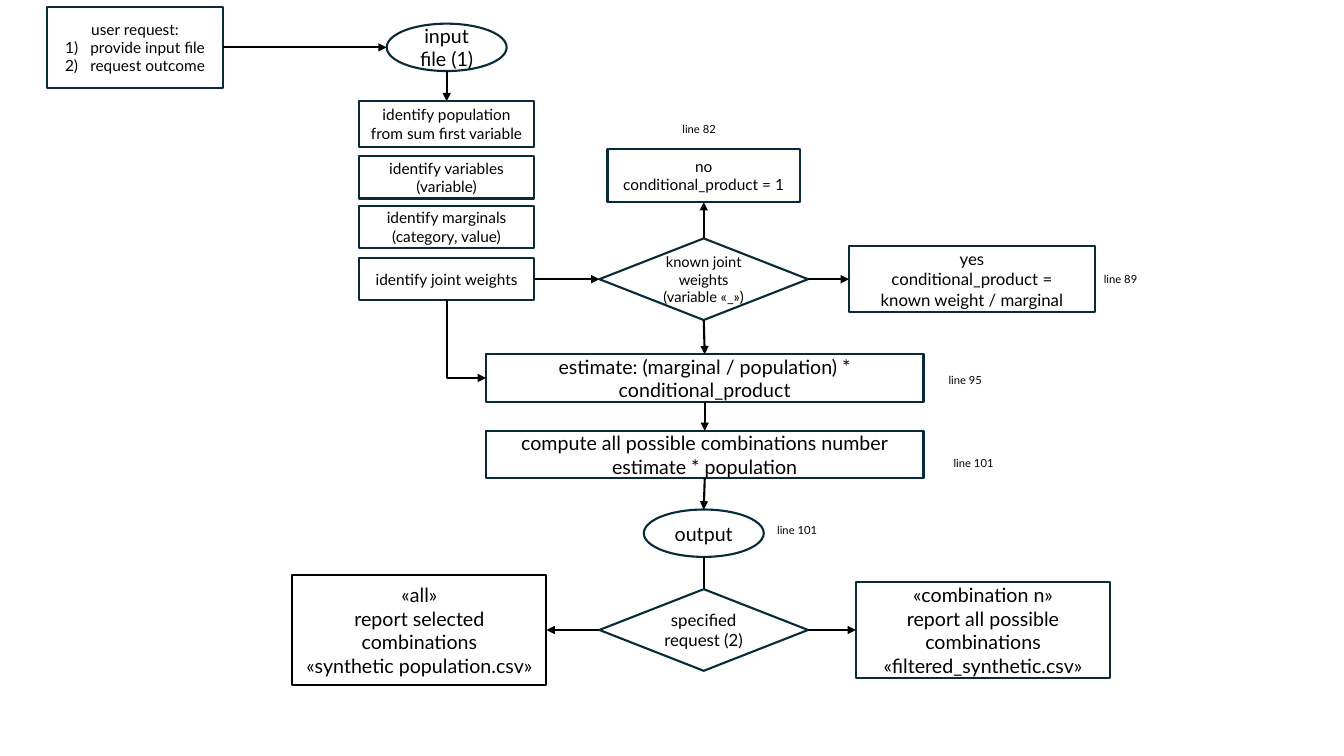
from dataclasses import dataclass

from lxml.etree import SubElement
from pptx import Presentation
from pptx.dml.color import RGBColor
from pptx.enum.shapes import MSO_CONNECTOR, MSO_SHAPE
from pptx.enum.text import MSO_ANCHOR, MSO_AUTO_SIZE, PP_ALIGN
from pptx.oxml.ns import qn
from pptx.util import Inches, Pt


@dataclass(frozen=True)
class Theme:
    font: str = "Lato"
    ink: RGBColor = RGBColor(0, 0, 0)
    outline: RGBColor = RGBColor(0x09, 0x2A, 0x39)
    large: float = 14
    medium: float = 12
    small: float = 11
    compact: float = 10.5
    note: float = 8
    stroke: float = 1.5


@dataclass(frozen=True)
class Region:
    """Top left corner, in inches, from which a region's parts are measured."""
    left: float
    top: float


THEME = Theme()
TOP, LEFT, BOTTOM, RIGHT = range(4)
STEP_WIDTH = 1.74
OVAL = {"kind": MSO_SHAPE.OVAL, "extent": (1.19, 0.47)}
DECISION = {"kind": MSO_SHAPE.DIAMOND, "extent": (2.07, 0.81)}
BAR = (4.34, 0.47)


def write(frame, text, size=THEME.large, align=PP_ALIGN.CENTER, numbered_from=None):
    """Fill a frame line by line, numbering lines from the given index on."""
    frame.word_wrap = True
    for index, line in enumerate(text.split("\n")):
        paragraph = frame.add_paragraph() if index else frame.paragraphs[0]
        paragraph.alignment = align
        run = paragraph.add_run()
        run.text = line
        run.font.name, run.font.size = THEME.font, Pt(size)
        run.font.color.rgb = THEME.ink
        if numbered_from is not None and index >= numbered_from:
            properties = paragraph._p.get_or_add_pPr()
            properties.set("marL", str(Inches(0.25)))
            properties.set("indent", str(-Inches(0.25)))
            SubElement(properties, qn("a:buAutoNum"), type="arabicParenR")


def add_node(slide, region, center, extent, text, kind=MSO_SHAPE.RECTANGLE,
             outline=THEME.outline, **text_format):
    """Draw a flowchart node around a centre measured from its region."""
    width, height = extent
    node = slide.shapes.add_shape(
        kind,
        Inches(region.left + center[0] - width / 2),
        Inches(region.top + center[1] - height / 2),
        Inches(width), Inches(height))
    node.shadow.inherit = False
    node.fill.background()
    node.line.color.rgb = outline
    node.line.width = Pt(THEME.stroke)
    node.text_frame.vertical_anchor = MSO_ANCHOR.MIDDLE
    write(node.text_frame, text, **text_format)
    return node


def add_line_note(slide, region, offset, text):
    note = slide.shapes.add_textbox(
        Inches(region.left + offset[0]), Inches(region.top + offset[1]),
        Inches(0.64), Inches(0.24))
    write(note.text_frame, text, size=THEME.note, align=PP_ALIGN.LEFT)
    note.text_frame.auto_size = MSO_AUTO_SIZE.SHAPE_TO_FIT_TEXT


def link(slide, source, source_side, target, target_side,
         kind=MSO_CONNECTOR.STRAIGHT, arrow=True):
    connector = slide.shapes.add_connector(kind, 0, 0, 0, 0)
    connector.begin_connect(source, source_side)
    connector.end_connect(target, target_side)
    # An oval has eight connection sites, so its side numbers are doubled.
    for node, side, tag in ((source, source_side, "a:stCxn"),
                            (target, target_side, "a:endCxn")):
        if node.auto_shape_type == MSO_SHAPE.OVAL:
            next(connector._element.iter(qn(tag))).set("idx", str(side * 2))
    connector.line.color.rgb = THEME.ink
    connector.line.width = Pt(THEME.stroke)
    if arrow:
        SubElement(connector.line._get_or_add_ln(), qn("a:tailEnd"), type="triangle")
    SubElement(connector._element.spPr, qn("a:effectLst"))
    return connector


def link_down_then_right(slide, source, target):
    """Join a bottom side to a left side with a single bend."""
    elbow = link(slide, source, BOTTOM, target, LEFT, kind=MSO_CONNECTOR.ELBOW)
    across, down = elbow.width, elbow.height
    middle_x, middle_y = elbow.left + across // 2, elbow.top + down // 2
    elbow.left, elbow.top = middle_x - down // 2, middle_y - across // 2
    elbow.width, elbow.height = down, across
    properties = elbow._element.spPr
    frame = properties.find(qn("a:xfrm"))
    frame.set("rot", str(270 * 60000))
    frame.set("flipH", "1")
    properties.find(qn("a:prstGeom")).set("prst", "bentConnector2")


def draw_intake(slide, region):
    """Draw the request, input file and identification steps; return the last."""
    request = add_node(slide, region, (0.87, 0.4), (STEP_WIDTH, 0.8),
                       "user request:\nprovide input file\nrequest outcome",
                       size=THEME.small, numbered_from=1)
    input_file = add_node(slide, region, (3.96, 0.4), text="input file (1)", **OVAL)
    steps = [
        add_node(slide, region, (3.96, middle), (STEP_WIDTH, height), text,
                 size=THEME.small)
        for middle, height, text in (
            (1.16, 0.45, "identify population from sum first variable"),
            (1.69, 0.42, "identify variables\n(variable)"),
            (2.18, 0.42, "identify marginals (category, value)"),
            (2.7, 0.42, "identify joint weights"))
    ]
    link(slide, request, RIGHT, input_file, LEFT)
    link(slide, input_file, BOTTOM, steps[0], TOP)
    return steps[-1]


def draw_joint_weights(slide, region):
    """Draw the known weights decision with both answers; return the decision."""
    known = add_node(slide, region, (1.04, 1.61),
                     text="known joint weights\n(variable «_»)",
                     size=THEME.compact, **DECISION)
    unknown_case = add_node(slide, region, (1.04, 0.58), (1.91, 0.53),
                            "no\nconditional_product = 1", size=THEME.small)
    known_case = add_node(slide, region, (3.7, 1.61), (2.44, 0.66),
                          "yes\nconditional_product =\nknown weight / marginal",
                          size=THEME.medium)
    link(slide, known, TOP, unknown_case, BOTTOM)
    link(slide, known, RIGHT, known_case, LEFT)
    add_line_note(slide, region, (0.73, 0), "line 82")
    add_line_note(slide, region, (4.91, 1.49), "line 89")
    return known


def draw_estimation(slide, region):
    """Draw the two calculations and the output; return first and last node."""
    estimate = add_node(slide, region, (2.17, 0.24), BAR,
                        "estimate: (marginal / population) * conditional_product")
    compute = add_node(slide, region, (2.17, 1), BAR,
                       "compute all possible combinations number\n"
                       "estimate * population")
    output = add_node(slide, region, (2.16, 1.78), text="output", **OVAL)
    link(slide, estimate, BOTTOM, compute, TOP)
    link(slide, compute, BOTTOM, output, TOP)
    add_line_note(slide, region, (4.49, 0.14), "line 95")
    add_line_note(slide, region, (4.54, 0.97), "line 101")
    add_line_note(slide, region, (2.79, 1.63), "line 101")
    return estimate, output


def draw_reporting(slide, region):
    """Draw the request decision with both reports; return the decision."""
    requested = add_node(slide, region, (4.08, 0.55), text="specified request (2)",
                         size=THEME.medium, **DECISION)
    all_report = add_node(slide, region, (1.26, 0.55), (2.52, 1.09),
                          "«all»\nreport selected combinations\n"
                          "«synthetic population.csv»", outline=THEME.ink)
    filtered_report = add_node(slide, region, (6.85, 0.55), (2.52, 0.96),
                               "«combination n»\nreport all possible combinations\n"
                               "«filtered_synthetic.csv»")
    link(slide, requested, LEFT, all_report, RIGHT)
    link(slide, requested, RIGHT, filtered_report, LEFT)
    return requested


def main():
    presentation = Presentation()
    presentation.slide_width, presentation.slide_height = Inches(13.33), Inches(7.5)
    slide = presentation.slides.add_slide(presentation.slide_layouts[6])
    joint_weights = draw_intake(slide, Region(0.47, 0.07))
    known = draw_joint_weights(slide, Region(5.94, 1.16))
    estimate, output = draw_estimation(slide, Region(4.82, 3.51))
    requested = draw_reporting(slide, Region(2.9, 5.7))
    link(slide, joint_weights, RIGHT, known, LEFT)
    link(slide, known, BOTTOM, estimate, TOP)
    link_down_then_right(slide, joint_weights, estimate)
    link(slide, output, BOTTOM, requested, TOP, arrow=False)
    presentation.save("out.pptx")


if __name__ == "__main__":
    main()
